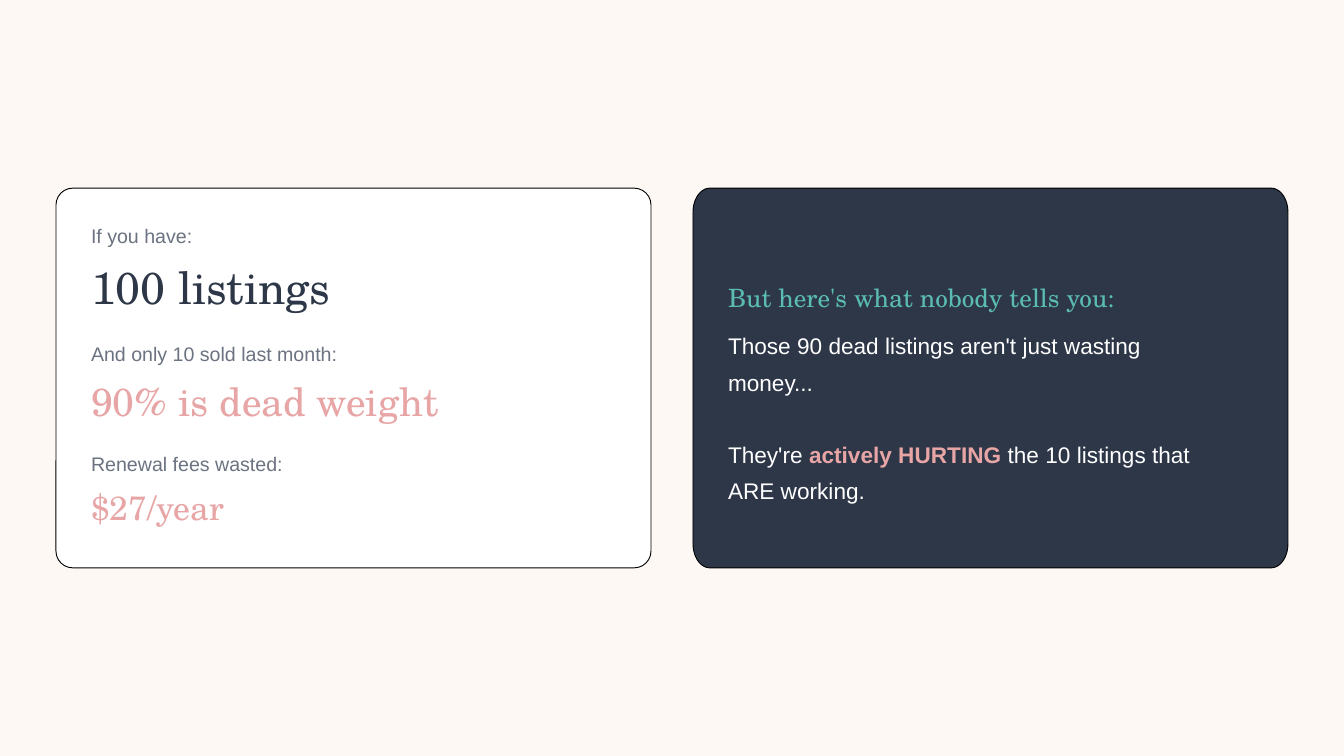
from dataclasses import dataclass
from math import cos, pi, sin

from pptx import Presentation, util as u
from pptx.dml.color import RGBColor
from pptx.enum import shapes, text

SANS, SERIF = "Arial", "TeX Gyre Schola"
CREAM, WHITE, NAVY = "FDF8F3", "FFFFFF", "2D3748"
GRAY, PINK, TEAL = "6B7280", "E8A5A5", "5BBCB3"

SLIDE_W, SLIDE_H = 1440, 810
MARGIN, GAP, PADDING = 60, 45, 37.5
CARD_W = (SLIDE_W - 2 * MARGIN - GAP) / 2
CARD_H = 406.8
CARD_TOP = (SLIDE_H - CARD_H) / 2
RIGHT_X = MARGIN + CARD_W + GAP
TEXT_W = 573.75
BODY_W = 519
LINE_RATIO = 1.4
BODY_LINE = 38.8


@dataclass
class Line:
    text: str
    top: float
    height: float
    size: float
    font: str
    color: str


STATS = [
    Line("If you have:", 235.4, 33, 21, SANS, GRAY),
    Line("100 listings", 268.6, 75, 48, SERIF, NAVY),
    Line("And only 10 sold last month:", 362.2, 29, 21, SANS, GRAY),
    Line("90% is dead weight", 396, 65.5, 42, SERIF, PINK),
    Line("Renewal fees wasted:", 480.2, 33, 21, SANS, GRAY),
    Line("$27/year", 514.8, 56, 36, SERIF, PINK),
]
HEADING = Line("But here's what nobody tells you:", 296.6, 43, 27, SERIF, TEAL)
WARNING = [
    [("Those 90 dead listings aren't just wasting money...", False)],
    [("They're ", False), ("actively HURTING", True),
     (" the 10 listings that ARE working.", False)],
]


def rgb(value: str) -> RGBColor:
    return RGBColor.from_string(value)


def style_card(sp, fill: str) -> None:
    sp.shadow.inherit = False
    sp.fill.solid()
    sp.fill.fore_color.rgb = rgb(fill)
    sp.line.color.rgb = rgb("000000")
    sp.line.width = u.Pt(1)


def add_round_card(s, left: float, radius: float, fill: str) -> None:
    sp = s.shapes.add_shape(shapes.MSO_SHAPE.ROUNDED_RECTANGLE, u.Pt(left),
                            u.Pt(CARD_TOP), u.Pt(CARD_W), u.Pt(CARD_H))
    sp.adjustments[0] = radius / CARD_H
    style_card(sp, fill)


def add_oval_card(s, left: float, rx: float, ry: float, fill: str) -> None:
    steps = 16
    right, bottom = left + CARD_W, CARD_TOP + CARD_H
    centers = [(right - rx, bottom - ry), (left + rx, bottom - ry),
               (left + rx, CARD_TOP + ry), (right - rx, CARD_TOP + ry)]
    points = []
    for corner, (cx, cy) in enumerate(centers):
        for step in range(steps + 1):
            angle = (corner + step / steps) * pi / 2
            points.append((u.Pt(cx + rx * cos(angle)), u.Pt(cy + ry * sin(angle))))
    outline = s.shapes.build_freeform(*points[0])
    outline.add_line_segments(points[1:], close=True)
    style_card(outline.convert_to_shape(), fill)


def place(sp, left: float, top: float, width: float, height: float) -> None:
    sp.left, sp.top = u.Pt(left), u.Pt(top)
    sp.width, sp.height = u.Pt(width), u.Pt(height)
    tf = sp.text_frame
    tf.margin_left = tf.margin_right = tf.margin_top = tf.margin_bottom = 0
    tf.word_wrap = True
    tf.vertical_anchor = text.MSO_ANCHOR.TOP
    tf.auto_size = text.MSO_AUTO_SIZE.SHAPE_TO_FIT_TEXT


def format_run(r, size: float, font: str, color: str, bold: bool = False) -> None:
    r.font.size = u.Pt(size)
    r.font.name = font
    r.font.bold = bold
    r.font.color.rgb = rgb(color)


def write_line(sp, left: float, line: Line) -> None:
    place(sp, left, line.top, TEXT_W, line.height)
    sp.text_frame.text = line.text
    p = sp.text_frame.paragraphs[0]
    p.alignment = text.PP_ALIGN.LEFT
    p.line_spacing = u.Pt(line.size * LINE_RATIO)
    format_run(p.runs[0], line.size, line.font, line.color)


def write_warning(sp) -> None:
    place(sp, RIGHT_X + PADDING, 346.3, BODY_W, 191.5)
    tf = sp.text_frame
    for i, parts in enumerate(WARNING):
        p = tf.add_paragraph() if i else tf.paragraphs[0]
        p.line_spacing = u.Pt(BODY_LINE)
        if i:
            p.space_before = u.Pt(BODY_LINE)
        for words, strong in parts:
            r = p.add_run()
            r.text = words
            format_run(r, 24.2, SANS, PINK if strong else WHITE, strong)


def main() -> None:
    prs = Presentation()
    prs.slide_width, prs.slide_height = u.Pt(SLIDE_W), u.Pt(SLIDE_H)
    s = prs.slides.add_slide(prs.slide_layouts.get_by_name("Title Only"))
    s.background.fill.solid()
    s.background.fill.fore_color.rgb = rgb(CREAM)

    add_round_card(s, MARGIN, 18, WHITE)
    for line in STATS:
        write_line(s.shapes.add_textbox(0, 0, 0, 0), MARGIN + PADDING, line)

    add_oval_card(s, RIGHT_X, 18, 26, NAVY)
    title = s.shapes.title
    title.element.getparent().append(title.element)
    write_line(title, RIGHT_X + PADDING, HEADING)
    write_warning(s.shapes.add_textbox(0, 0, 0, 0))

    prs.save("out.pptx")


if __name__ == "__main__":
    main()
